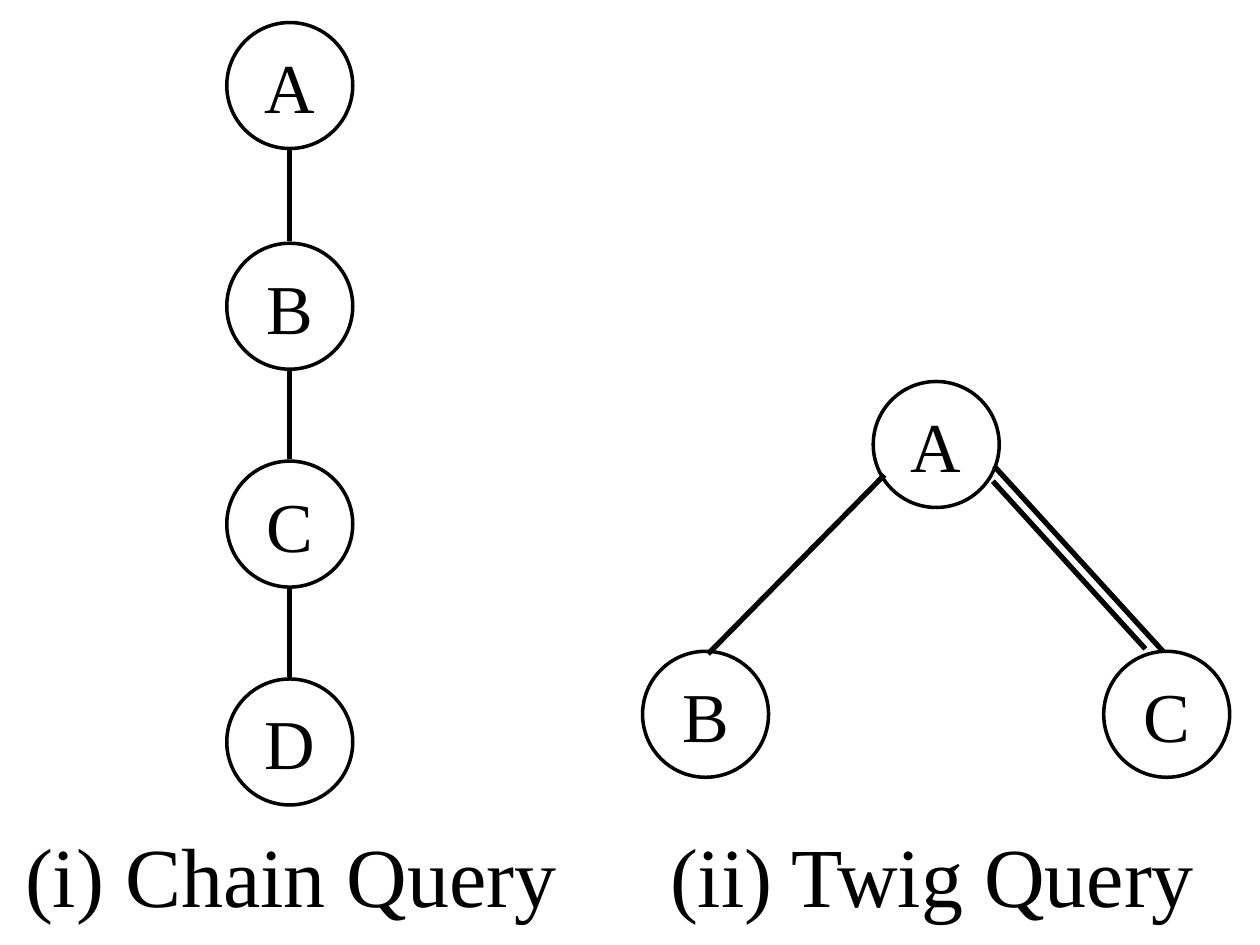
from pptx import Presentation
from pptx.dml.color import RGBColor
from pptx.enum.shapes import MSO_CONNECTOR, MSO_SHAPE
from pptx.enum.text import MSO_ANCHOR, PP_ALIGN
from pptx.oxml.ns import qn
from pptx.util import Pt

COLORS = {"ink": "000000"}
FONT = "Times New Roman"
NODE = 72
CAPTION_TOP, CAPTION_W, CAPTION_H = 467.3, 318.2, 64.8

CHAIN = {
    "caption": ("(i) Chain Query", 7.2),
    "nodes": [("A", 129.6, 12.9), ("B", 129.6, 139),
              ("C", 129.6, 263.5), ("D", 129.6, 388)],
}
TWIG = {
    "caption": ("(ii) Twig Query", 375.8),
    "nodes": [("A", 499, 218), ("B", 367.2, 372.2), ("C", 630.7, 372.2)],
    "edges": [(654.5, 370.8, 567.4, 275), (664.6, 372.2, 568.1, 266.4),
              (505.4, 271.4, 404.6, 373.7)],
}
CHAIN["edges"] = [
    (x + NODE / 2, below - 1, x + NODE / 2, y + NODE + 1)
    for (_, x, y), (_, _, below) in zip(CHAIN["nodes"], CHAIN["nodes"][1:])
]


def ink():
    return RGBColor.from_string(COLORS["ink"])


def add_text(shape, text, size, align):
    tf = shape.text_frame
    tf.word_wrap = False
    p = tf.paragraphs[0]
    p.alignment = align
    r = p.add_run()
    r.text = text
    r.font.name = FONT
    r.font.size = Pt(size)
    r.font.color.rgb = ink()


def add_node(shapes, label, x, y):
    sp = shapes.add_shape(MSO_SHAPE.OVAL, Pt(x), Pt(y), Pt(NODE), Pt(NODE))
    sp.shadow.inherit = False
    sp.fill.background()
    sp.line.color.rgb = ink()
    sp.line.width = Pt(2)
    sp.text_frame.vertical_anchor = MSO_ANCHOR.MIDDLE
    add_text(sp, label, 40, PP_ALIGN.CENTER)


def add_edge(shapes, x1, y1, x2, y2):
    cn = shapes.add_connector(MSO_CONNECTOR.STRAIGHT, Pt(x1), Pt(y1), Pt(x2), Pt(y2))
    cn.line.color.rgb = ink()
    cn.line.width = Pt(3)
    sp_pr = cn._element.spPr
    sp_pr.append(sp_pr.makeelement(qn("a:effectLst"), {}))


def add_query(s, query):
    text, left = query["caption"]
    tb = s.shapes.add_textbox(Pt(left), Pt(CAPTION_TOP), Pt(CAPTION_W), Pt(CAPTION_H))
    add_text(tb, text, 48, PP_ALIGN.LEFT)
    shapes = s.shapes.add_group_shape().shapes
    for node in query["nodes"]:
        add_node(shapes, *node)
    for edge in query["edges"]:
        add_edge(shapes, *edge)


def main():
    prs = Presentation()
    prs.slide_width, prs.slide_height = Pt(720), Pt(540)
    s = prs.slides.add_slide(prs.slide_layouts[6])
    for query in (CHAIN, TWIG):
        add_query(s, query)
    prs.save("out.pptx")


if __name__ == "__main__":
    main()
